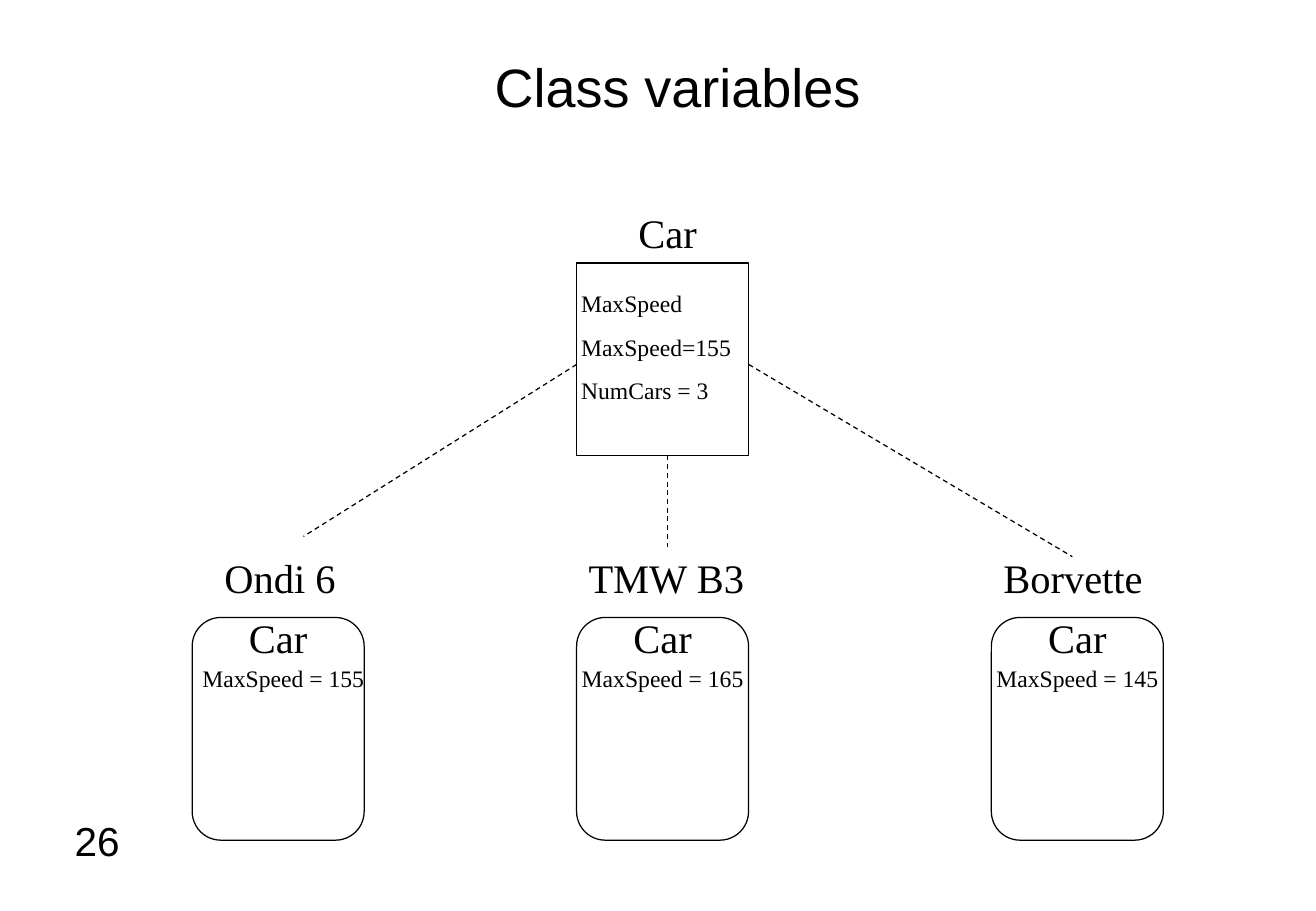
"""Build the class variables slide: a Car class and its three instances."""
from lxml.etree import SubElement
from pptx import Presentation
from pptx.dml.color import RGBColor
from pptx.enum.dml import MSO_LINE_DASH_STYLE as Dash
from pptx.enum.shapes import MSO_CONNECTOR as Connector, MSO_SHAPE as Shape
from pptx.enum.text import MSO_ANCHOR as Anchor, PP_ALIGN as Align
from pptx.oxml.ns import qn
from pptx.util import Inches, Pt

COLORS = {"ink": "000000", "paper": "FFFFFF"}
INK = RGBColor.from_string(COLORS["ink"])
PAPER = RGBColor.from_string(COLORS["paper"])
SERIF, SANS = "Times New Roman", "Arial"
GRID = 48
BOX_WIDTH = 1.42

prs = Presentation()
prs.slide_width, prs.slide_height = Inches(10.84), Inches(7.5)
slide = prs.slides.add_slide(prs.slide_layouts[6])
slide.background.fill.solid()
slide.background.fill.fore_color.rgb = PAPER


def on_grid(*lengths):
    return [Inches(round(length * GRID) / GRID) for length in lengths]


def add_text(lines, left, top, width, height, size=24, font=SERIF,
             align=Align.CENTER, anchor=Anchor.TOP):
    frame = slide.shapes.add_textbox(*on_grid(left, top, width, height)).text_frame
    frame.word_wrap = True
    frame.vertical_anchor = anchor
    for index, line in enumerate(lines):
        paragraph = frame.add_paragraph() if index else frame.paragraphs[0]
        paragraph.alignment = align
        if index:
            paragraph.space_before = Pt(8.8)
        run = paragraph.add_run()
        run.text = line
        run.font.size = Pt(size)
        run.font.name = font
        run.font.color.rgb = INK


add_text(["26"], 0.25, 6.67, 0.83, 0.5, font=SANS, align=Align.RIGHT)
add_text(["Class variables"], 1.33, 0.17, 8.5, 1.08, 32, SANS, anchor=Anchor.MIDDLE)

boxes = [
    (Shape.ROUNDED_RECTANGLE, 1.58, 5.08, 1.83),
    (Shape.ROUNDED_RECTANGLE, 4.75, 5.08, 1.83),
    (Shape.ROUNDED_RECTANGLE, 8.17, 5.08, 1.83),
    (Shape.RECTANGLE, 4.75, 2.17, 1.58),
]
for kind, left, top, height in boxes:
    box = slide.shapes.add_shape(kind, *on_grid(left, top, BOX_WIDTH, height))
    box.shadow.inherit = False
    box.line.color.rgb = INK
    box.line.width = Pt(0.75)
    if kind == Shape.RECTANGLE:
        box.fill.solid()
        box.fill.fore_color.rgb = PAPER
    else:
        box.fill.background()

instances = [
    ("Ondi 6", 1.75, 1.25, 1.83, "MaxSpeed = 155", 1.5, 1.67),
    ("TMW B3", 4.75, 1.5, 5, "MaxSpeed = 165", 4.58, 1.75),
    ("Borvette", 8.17, 1.67, 8.42, "MaxSpeed = 145", 8.08, 1.58),
]
for model, model_left, model_width, car_left, speed, speed_left, speed_width in instances:
    add_text([model], model_left, 4.5, model_width, 0.5, align=Align.LEFT)
    add_text(["Car"], car_left, 5, 0.92, 0.5)
    add_text([speed], speed_left, 5.42, speed_width, 0.34, 14)

instance_links = [(4.75, 3, 2.5, 4.42), (5.5, 3.75, 5.5, 4.5), (6.17, 3, 8.83, 4.58)]
for ends in instance_links:
    link = slide.shapes.add_connector(Connector.STRAIGHT, *on_grid(*ends))
    link.line.color.rgb = INK
    link.line.width = Pt(0.75)
    link.line.dash_style = Dash.DASH
    SubElement(link._element.spPr, qn("a:effectLst"))

add_text(["Car"], 4.75, 1.67, 1.5, 0.5)
add_text(["MaxSpeed", "MaxSpeed=155", "NumCars = 3"], 4.69, 2.33, 1.75, 1.05, 14,
         align=Align.LEFT)

prs.save("out.pptx")
